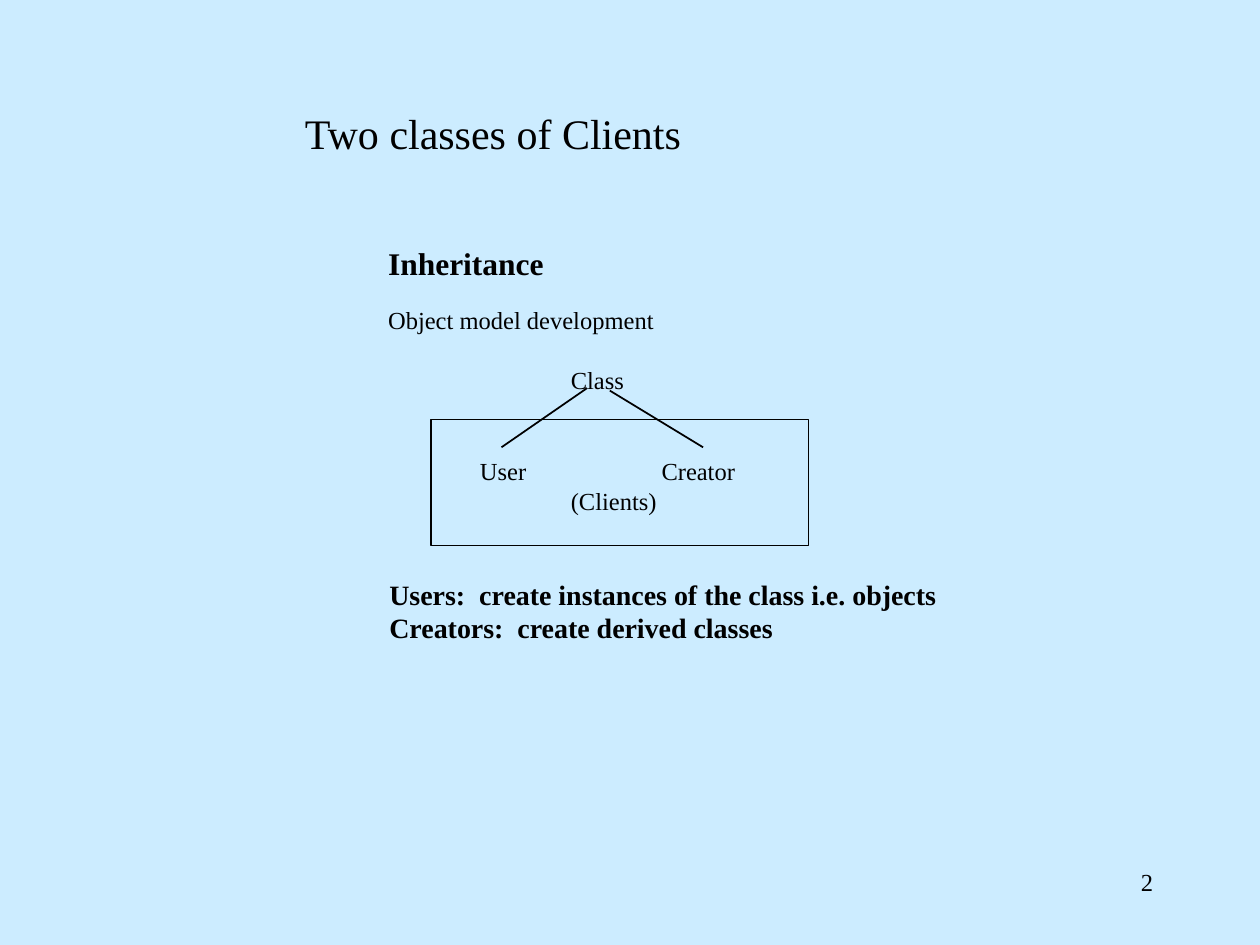
import collections
import lxml.etree
import pptx
import pptx.dml.color
import pptx.enum.shapes
import pptx.enum.text
import pptx.oxml.ns
import pptx.util

Box = collections.namedtuple("Box", "x y w h")
Theme = collections.namedtuple("Theme", "font ink back title head lead body")
LOOK = Theme("Times New Roman", "000000", "CCECFF", 24, 18, 16, 14)
COLS, ROWS = 100, 75
CELL = pptx.util.Inches(0.1)
LEFT = pptx.enum.text.PP_ALIGN.LEFT
RIGHT = pptx.enum.text.PP_ALIGN.RIGHT


def span(cells):
    """Turn grid cells into a length."""
    return round(cells * CELL)


def tint(code):
    """Turn a hex code into a colour."""
    return pptx.dml.color.RGBColor.from_string(code)


def inner(box, x, y, w=0, h=0):
    """Place a part by its offset from the corner of a box."""
    return Box(box.x + x, box.y + y, w, h)


def fit(shape, box):
    """Move a shape to a box."""
    shape.left, shape.top, shape.width, shape.height = map(span, box)


def write(shape, lines, size, bold=False, pad=(0, 0), align=LEFT):
    """Fill a shape with lines of text, one run each."""
    frame = shape.text_frame
    frame.auto_size = pptx.enum.text.MSO_AUTO_SIZE.NONE
    frame.word_wrap = align == RIGHT
    frame.vertical_anchor = pptx.enum.text.MSO_ANCHOR.TOP
    frame.margin_left = frame.margin_right = span(pad[0])
    frame.margin_top = frame.margin_bottom = span(pad[1])
    for i, line in enumerate(lines):
        para = frame.add_paragraph() if i else frame.paragraphs[0]
        para.alignment = align
        para.line_spacing = 1.0
        para.space_before = para.space_after = pptx.util.Pt(0)
        run = para.add_run()
        run.text = line
        run.font.name = LOOK.font
        run.font.size = pptx.util.Pt(size)
        run.font.bold = bold
        run.font.color.rgb = tint(LOOK.ink)


def label(slide, box, text, size, **style):
    """Add one line of text in a box."""
    shape = slide.shapes.add_textbox(*map(span, box))
    write(shape, [text], size, **style)


def link(slide, start, end):
    """Draw a plain line between two points."""
    kind = pptx.enum.shapes.MSO_CONNECTOR.STRAIGHT
    line = slide.shapes.add_connector(
        kind, *map(span, (start.x, start.y, end.x, end.y)))
    line.line.color.rgb = tint(LOOK.ink)
    line.line.width = pptx.util.Pt(1)
    props = line._element.spPr
    lxml.etree.SubElement(props, pptx.oxml.ns.qn("a:effectLst"))


def title(slide, box):
    """Set the slide title."""
    shape = slide.shapes.title
    fit(shape, box)
    write(shape, ["Two classes of Clients"], LOOK.title, pad=(1, 0.5))


def intro(slide, box):
    """Set the topic and the line below it."""
    label(slide, inner(box, 0, 0, 12.4, 3), "Inheritance", LOOK.head, bold=True)
    label(slide, inner(box, 0, 4.8, box.w, 2.3),
          "Object model development", LOOK.body)


def tree(slide, box):
    """Draw the class, its two clients and the frame around them."""
    words = (("Class", 11.1, 0, 4.2), ("User", 3.9, 7.2, 3.7),
             ("Creator", 18.3, 7.2, 5.9), ("(Clients)", 11.1, 9.6, 6.8))
    for text, x, y, w in words:
        label(slide, inner(box, x, y, w, 2.3), text, LOOK.body)
    for low, top in (((5.6, 6.5), (12.4, 1.8)), ((21.6, 6.5), (14.2, 2))):
        link(slide, inner(box, *low), inner(box, *top))
    kind = pptx.enum.shapes.MSO_SHAPE.RECTANGLE
    area = inner(box, 0, 4.3, box.w, box.h - 4.3)
    frame = slide.shapes.add_shape(kind, *map(span, area))
    frame.shadow.inherit = False
    frame.fill.background()
    frame.line.color.rgb = tint(LOOK.ink)
    frame.line.width = pptx.util.Pt(0.75)


def roles(slide, box):
    """Set the list of what each client does."""
    shape = slide.placeholders[1]
    fit(shape, box)
    write(shape, ["Users:  create instances of the class i.e. objects",
                  "Creators:  create derived classes"], LOOK.lead, bold=True)
    for para in shape.text_frame.paragraphs:
        props = para._p.get_or_add_pPr()
        props.set("marL", "0")
        props.set("indent", "0")
        lxml.etree.SubElement(props, pptx.oxml.ns.qn("a:buNone"))


def folio(slide, box):
    """Set the page number."""
    label(slide, box, "2", LOOK.body, pad=(1, 0.5), align=RIGHT)


def main():
    """Build and save the deck."""
    deck = pptx.Presentation()
    deck.slide_width, deck.slide_height = span(COLS), span(ROWS)
    slide = deck.slides.add_slide(deck.slide_layouts[1])
    slide.background.fill.solid()
    slide.background.fill.fore_color.rgb = tint(LOOK.back)
    title(slide, Box(23.2, 8, 32.1, 5))
    intro(slide, Box(30.8, 19.4, 21.1, 7.1))
    tree(slide, Box(34.2, 29, 30, 14.3))
    roles(slide, Box(30.9, 45.8, 43.5, 5.3))
    folio(slide, Box(71.7, 68.3, 20.8, 5))
    deck.save("out.pptx")


if __name__ == "__main__":
    main()
